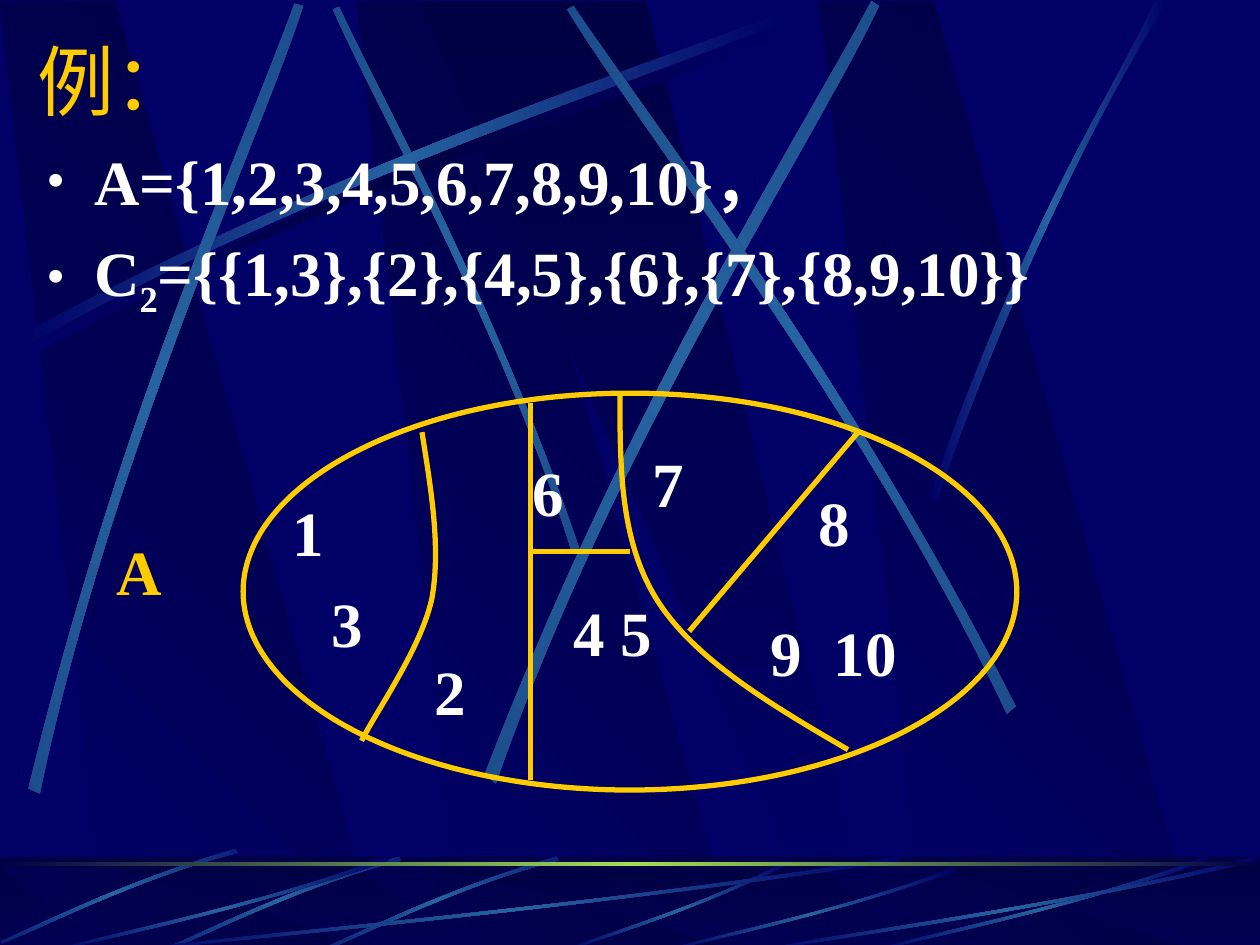
import math

import pptx
import pptx.util
import pptx.dml.color
import pptx.enum.shapes
import pptx.enum.text
import pptx.oxml
import pptx.oxml.ns
from pptx.util import Inches

COLORS = {"night": "000066", "shade": "000044", "beam": "2663A0", "dim": "194383",
          "horizon": "9CE157", "gold": "FFCC00", "white": "FFFFFF"}
FONT = "Times New Roman"
NAMESPACE = pptx.oxml.ns.nsdecls("a")

# Each beam: end colour, middle colour, rotation, and two edges,
# each a Bezier start, two controls and end
SKY_BEAMS = [
    ("night", "shade", 0, [(0.2, 2.75), (2.84, 1.34), (5.24, 0.59), (6.26, 0.18)],
     [(6.29, 0.24), (5.28, 0.69), (2.54, 1.51), (0.23, 2.85)]),
    ("dim", "beam", 45, [(4.6, 4.36), (3.91, 2.34), (3.02, 0.77), (2.69, 0.05)],
     [(2.64, 0.07), (2.95, 0.79), (3.98, 2.58), (4.54, 4.39)]),
    ("night", "beam", 0, [(0.14, 2.67), (2.78, 1.25), (5.18, 0.51), (6.2, 0.1)],
     [(6.23, 0.16), (5.22, 0.61), (2.48, 1.43), (0.17, 2.77)]),
    ("dim", "beam", 311.7, [(0.23, 6.25), (0.93, 3.34), (1.97, 1.05), (2.34, 0.02)],
     [(2.41, 0.04), (2.07, 1.09), (0.86, 3.68), (0.32, 6.29)]),
    ("dim", "beam", 321.6, [(3.85, 6.14), (4.98, 3.2), (6.38, 1.02), (6.92, 0)],
     [(6.98, 0.04), (6.49, 1.08), (4.86, 3.55), (3.94, 6.21)]),
    ("dim", "beam", 34.8, [(8.06, 5.6), (6.7, 2.93), (5.16, 0.95), (4.55, 0.04)],
     [(4.5, 0.07), (5.07, 1.01), (6.85, 3.25), (7.99, 5.66)]),
    ("night", "beam", 0, [(7.38, 3.94), (8.14, 1.73), (8.88, 0.66), (9.17, 0)],
     [(9.27, 0), (8.36, 1.45), (7.69, 3.22), (7.44, 3.97)]),
]
# Steep floor beams share one outline, moved by an offset
STEEP_BEAM = ([(1.86, 0), (0.99, 0.25), (0.31, 0.6), (0, 0.73)],
              [(0.01, 0.75), (0.32, 0.63), (1.09, 0.23), (1.88, 0.03)])
STEEP_BEAM_OFFSETS = [(2.56, 0), (1.31, 0), (0.01, -0.06)]
# Flat floor beams share one outline, scaled to (left, top, width, height)
FLAT_BEAM = ([(1, 0.04), (0.57, 0.57), (0.17, 0.85), (0.01, 1)],
             [(0, 0.99), (0.16, 0.81), (0.62, 0.51), (0.99, 0)])
FLAT_BEAM_BOXES = [(4.48, 0.02, 1.8, 0.73), (1, 0, 6.17, 0.75), (0.42, 0, 2.67, 0.75),
                   (5.27, 0.09, 2.31, 0.66), (6.92, 0, 2.67, 0.75), (6, 0, 4, 0.75)]


def rgb(name):
    return pptx.dml.color.RGBColor.from_string(COLORS[name])


def add_outline(slide, points, close=True):
    corners = [(Inches(x), Inches(y)) for x, y in points]
    builder = slide.shapes.build_freeform(*corners[0], scale=1.0)
    builder.add_line_segments(corners[1:], close=close)
    shape = builder.convert_to_shape()
    shape.shadow.inherit = False
    return shape


def bend_segment(shape, segment, points):
    """Turn one straight segment into a Bezier with the given controls and end."""
    marks = "".join(f'<a:pt x="{Inches(x) - shape.left}" y="{Inches(y) - shape.top}"/>'
                    for x, y in points)
    segment.getparent().replace(segment, pptx.oxml.parse_xml(
        f"<a:cubicBezTo {NAMESPACE}>{marks}</a:cubicBezTo>"))


def get_segments(shape):
    return list(shape.element.iter(pptx.oxml.ns.qn("a:lnTo")))


def add_rectangle(slide, left, top, width, height):
    shape = slide.shapes.add_shape(pptx.enum.shapes.MSO_SHAPE.RECTANGLE, Inches(left),
                                   Inches(top), Inches(width), Inches(height))
    shape.shadow.inherit = False
    shape.line.fill.background()
    return shape


def fill_gradient(shape, names, clockwise_angle):
    shape.line.fill.background()
    shape.fill.gradient()
    shape.fill.gradient_angle = (360 - clockwise_angle) % 360
    stops = next(shape.element.iter(pptx.oxml.ns.qn("a:gsLst")))
    stops.clear()
    for index, name in enumerate(names):
        stops.append(pptx.oxml.parse_xml(
            f'<a:gs {NAMESPACE} pos="{index * 100000 // (len(names) - 1)}">'
            f'<a:srgbClr val="{COLORS[name]}"/></a:gs>'))


def turn_back(points, rotation):
    """Undo a rotation about the middle of the points."""
    middle_x, middle_y = [(min(values) + max(values)) / 2 for values in zip(*points)]
    cosine, sine = math.cos(math.radians(rotation)), math.sin(math.radians(rotation))
    return [(middle_x + (x - middle_x) * cosine + (y - middle_y) * sine,
             middle_y - (x - middle_x) * sine + (y - middle_y) * cosine)
            for x, y in points]


def add_beam(slide, first_edge, second_edge, end="night", middle="beam", rotation=0):
    points = turn_back(first_edge + second_edge, rotation)
    shape = add_outline(slide, [points[index] for index in (0, 3, 4, 7)])
    first, _, second = get_segments(shape)
    bend_segment(shape, first, points[1:4])
    bend_segment(shape, second, points[5:8])
    shape.rotation = rotation
    fill_gradient(shape, [end, middle, end], 0)


def add_planks(slide, top, bottom):
    for left in (2.83, 0, 6.5):
        plank = add_outline(slide, [(left + 0.86, bottom), (left + 3.02, bottom),
                                    (left + 0.91, top), (left, top)])
        fill_gradient(plank, ["shade", "night"], 135)
    plank = add_outline(slide, [(3.33, top), (6.58, bottom), (6.94, bottom), (5.13, top)])
    fill_gradient(plank, ["shade", "night"], 90)


def add_sky(slide, top, bottom):
    add_planks(slide, top, bottom)
    for end, middle, rotation, first_edge, second_edge in SKY_BEAMS:
        add_beam(slide, first_edge, second_edge, end, middle, rotation)


def add_floor(slide, left, top, width, height):
    fill_gradient(add_rectangle(slide, left, top, width, height), ["shade", "night"], 90)
    add_planks(slide, top + 0.08, top + height)
    veil = add_rectangle(slide, left, top, width, height)
    veil.fill.solid()
    veil.fill.fore_color.rgb = rgb("shade")
    color = next(veil.element.spPr.iter(pptx.oxml.ns.qn("a:srgbClr")))
    color.append(pptx.oxml.parse_xml(f'<a:alpha {NAMESPACE} val="50000"/>'))
    boxes = [(STEEP_BEAM, (dx, dy, 1, 1), 314.9) for dx, dy in STEEP_BEAM_OFFSETS]
    boxes += [(FLAT_BEAM, box, 0) for box in FLAT_BEAM_BOXES]
    for edges, (dx, dy, w, h), rotation in boxes:
        add_beam(slide, *[[(left + dx + x * w, top + dy + y * h) for x, y in edge]
                          for edge in edges], rotation=rotation)
    horizon = add_rectangle(slide, left, top + 0.04, width, 0.03)
    fill_gradient(horizon, ["shade", "horizon", "shade"], 0)


def add_run(paragraph, text, color="white", size=36, font=FONT, bold=True):
    run = paragraph.add_run()
    run.text = text
    run.font.size = pptx.util.Pt(size)
    run.font.name = font
    run.font.bold = bold
    run.font.color.rgb = rgb(color)
    return run


def add_text_frame(slide, left, top, width, height):
    box = slide.shapes.add_textbox(Inches(left), Inches(top), Inches(width), Inches(height))
    box.text_frame.word_wrap = True
    return box.text_frame


def add_title(slide, left, top, width, height):
    title = slide.shapes.title
    title.element.getparent().append(title.element)  # in front of the backdrop
    title.left, title.top, title.width, title.height = map(Inches, (left, top, width, height))
    title.text_frame.vertical_anchor = pptx.enum.text.MSO_ANCHOR.MIDDLE
    paragraph = title.text_frame.paragraphs[0]
    paragraph.alignment = pptx.enum.text.PP_ALIGN.LEFT
    add_run(paragraph, "例：", "gold", 44, "Montserrat", False)


def add_sets(slide, left, top, width, height):
    frame = add_text_frame(slide, left, top, width, height)
    lines = [["A={1,2,3,4,5,6,7,8,9,10}，"],
             ["C", "2", "={{1,3},{2},{4,5},{6},{7},{8,9,10}}"]]
    for index, parts in enumerate(lines):
        paragraph = frame.add_paragraph() if index else frame.paragraphs[0]
        paragraph.space_before = pptx.util.Pt(9 if index else 0)
        properties = paragraph._p.get_or_add_pPr()
        properties.set("marL", str(Inches(0.38)))
        properties.set("indent", str(Inches(-0.38)))
        for tag in (f'buClr {NAMESPACE}><a:srgbClr val="{COLORS["white"]}"/></a:buClr>',
                    f'buSzPct {NAMESPACE} val="85000"/>',
                    f'buFont {NAMESPACE} typeface="{FONT}"/>',
                    f'buChar {NAMESPACE} char="•"/>'):
            properties.append(pptx.oxml.parse_xml("<a:" + tag))
        for part in parts:
            run = add_run(paragraph, part)
            if part == "2":
                run.font._element.set("baseline", "-25000")


def add_label(slide, left, top, width, height, lines, gap=0, color="white", tab=None):
    """Lines are (indent, text) pairs."""
    frame = add_text_frame(slide, left, top, width, height)
    for index, (indent, text) in enumerate(lines):
        paragraph = frame.add_paragraph() if index else frame.paragraphs[0]
        paragraph.line_spacing = 1.2
        paragraph.space_before = pptx.util.Pt(gap if index else 0)
        properties = paragraph._p.get_or_add_pPr()
        properties.set("marL", str(Inches(indent)))
        if tab:
            properties.append(pptx.oxml.parse_xml(
                f'<a:tabLst {NAMESPACE}><a:tab pos="{Inches(tab)}" algn="l"/></a:tabLst>'))
        add_run(paragraph, text, color)


def style_line(shape):
    shape.line.color.rgb = rgb("gold")
    shape.line.width = pptx.util.Pt(3)


def add_partition(slide, left, top, width, height):
    ellipse = slide.shapes.add_shape(pptx.enum.shapes.MSO_SHAPE.OVAL, Inches(left),
                                     Inches(top), Inches(width), Inches(height))
    ellipse.shadow.inherit = False
    ellipse.fill.background()
    style_line(ellipse)
    # Curved borders, each of two joined Bezier pieces
    for curve in [[(2.99, 0), (2.99, 0.59), (2.99, 1.18), (3.29, 1.65),
                   (3.59, 2.12), (4.2, 2.48), (4.8, 2.83)],
                  [(1.42, 0.31), (1.49, 0.76), (1.57, 1.21), (1.5, 1.62),
                   (1.42, 2.02), (1.04, 2.55), (0.94, 2.76)]]:
        points = [(left + x, top + y) for x, y in curve]
        border = add_outline(slide, points[::3], close=False)
        for index, segment in enumerate(get_segments(border)):
            bend_segment(border, segment, points[3 * index + 1:3 * index + 4])
        border.fill.background()
        style_line(border)
    # Straight borders
    for x1, y1, x2, y2 in [(2.28, 0.08, 2.28, 3.07), (2.28, 1.26, 3.07, 1.26),
                           (4.88, 0.31, 3.54, 1.89)]:
        line = slide.shapes.add_connector(
            pptx.enum.shapes.MSO_CONNECTOR.STRAIGHT, Inches(left + x1), Inches(top + y1),
            Inches(left + x2), Inches(top + y2))
        line.element.spPr.append(pptx.oxml.parse_xml(f"<a:effectLst {NAMESPACE}/>"))
        style_line(line)
    # Members of each block, and the name of the set
    add_label(slide, left + 0.16, top + 0.63, 1.34, 1.54, [(0.13, "1"), (0.44, "3")])
    add_label(slide, left + 4.09, top + 0.55, 1.73, 1.85, [(0.38, "8"), (0, "9\t10")],
              gap=22.5, tab=0.5)
    for x, y, label_width, label_height, text, color in [
            (2.52, 1.42, 0.94, 1.54, "4 5", "white"), (1.42, 1.89, 0.71, 0.82, "2", "white"),
            (2.2, 0.31, 0.95, 0.82, "6", "white"), (3.15, 0.24, 1.1, 0.82, "7", "white"),
            (-1.1, 0.94, 1.18, 0.82, "A", "gold")]:
        add_label(slide, left + x, top + y, label_width, label_height, [(0, text)], color=color)


presentation = pptx.Presentation()
presentation.slide_width, presentation.slide_height = Inches(10), Inches(7.5)
slide = presentation.slides.add_slide(presentation.slide_layouts[5])
slide.background.fill.solid()
slide.background.fill.fore_color.rgb = rgb("night")
add_sky(slide, 0.01, 7.52)
add_floor(slide, 0, 6.8, 10, 0.75)
add_title(slide, 0.2, 0.21, 8.5, 0.84)
add_sets(slide, 0.27, 1.08, 9.53, 5.59)
add_partition(slide, 1.93, 3.12, 6.14, 3.15)
presentation.save("out.pptx")
